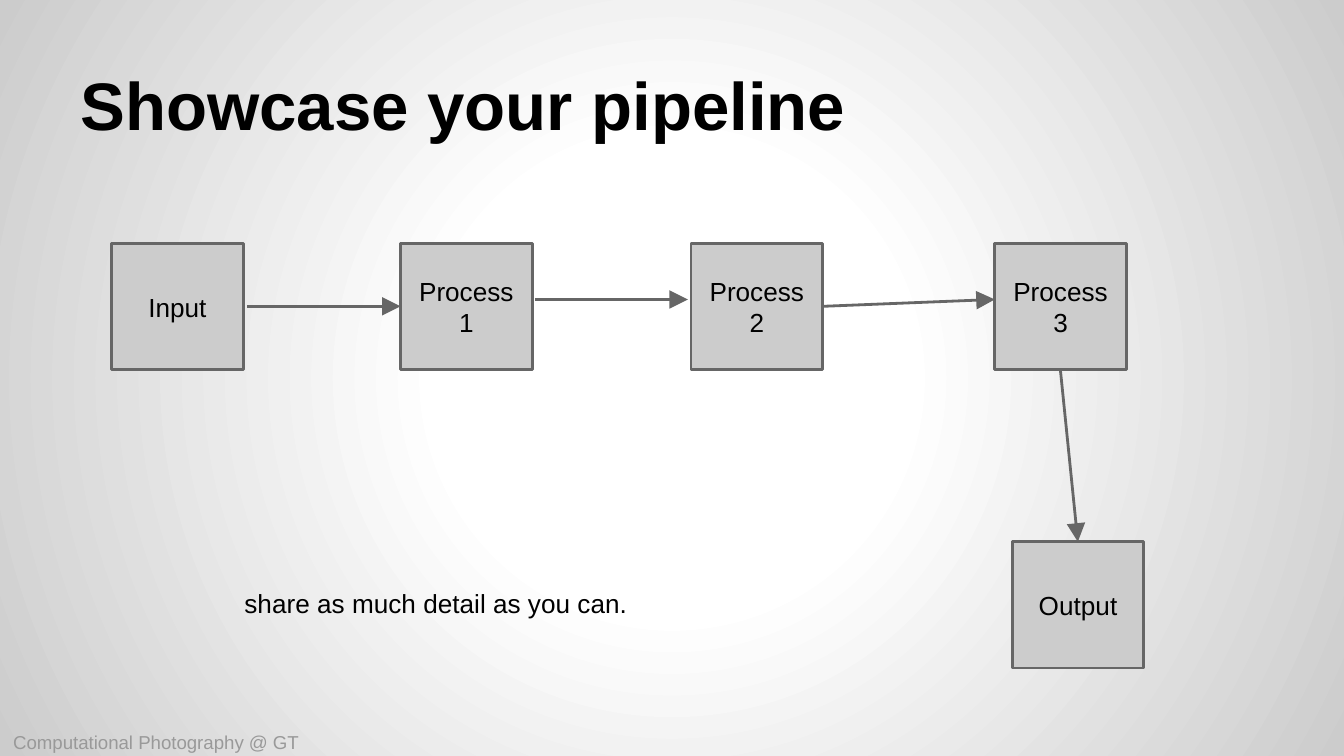
"""Build a slide that shows a processing pipeline from input to output."""
from lxml import etree
from pptx import Presentation
from pptx.dml.color import RGBColor
from pptx.enum.shapes import MSO_CONNECTOR, MSO_SHAPE
from pptx.enum.text import MSO_ANCHOR as Anchor, PP_ALIGN as Align
from pptx.oxml import parse_xml
from pptx.oxml.ns import nsdecls, qn
from pptx.util import Cm, Pt

COLORS = {"text": "000000", "footer": "999999", "box": "CCCCCC",
          "line": "666666", "center": "FFFFFF", "edge": "CCCCCC"}
BOX_WIDTH, BOX_HEIGHT, ROW_TOP = 2.49, 2.39, 4.6


def color(name):
    return RGBColor.from_string(COLORS[name])


def write(shape, text, size, anchor, align=Align.LEFT, ink="text", bold=False):
    frame = shape.text_frame
    frame.word_wrap = True
    frame.vertical_anchor = anchor
    frame.margin_left = frame.margin_right = Cm(0.25)
    frame.margin_top = frame.margin_bottom = Cm(0.25)
    para = frame.paragraphs[0]
    para.text = text
    para.alignment = align
    para.font.name = "Arial"
    para.font.size = Pt(size)
    para.font.bold = bold
    para.font.color.rgb = color(ink)


deck = Presentation()
deck.slide_width, deck.slide_height = Cm(25.4), Cm(14.29)
page = deck.slides.add_slide(deck.slide_layouts[6])

stops = "".join(
    f'<a:gs pos="{percent * 1000}"><a:srgbClr val="{COLORS[name]}"/></a:gs>'
    for percent, name in [(0, "center"), (30, "center"), (100, "edge")])
background = parse_xml(
    f'<p:bg {nsdecls("p", "a")}><p:bgPr><a:gradFill><a:gsLst>{stops}</a:gsLst>'
    '<a:path path="circle"><a:fillToRect l="50000" t="50000" r="50000" b="50000"/>'
    '</a:path></a:gradFill><a:effectLst/></p:bgPr></p:bg>')
page.element.cSld.insert(0, background)

title = page.shapes.add_textbox(Cm(1.27), Cm(0.58), Cm(22.86), Cm(2.39))
write(title, "Showcase your pipeline", 36, Anchor.BOTTOM, bold=True)

footer = page.shapes.add_textbox(Cm(0), Cm(13.74), Cm(7.14), Cm(0.56))
write(footer, "Computational Photography @ GT", 10, Anchor.MIDDLE, ink="footer")

steps = [("Input", 2.11, ROW_TOP), ("Process 1", 7.57, ROW_TOP),
         ("Process 2", 13.06, ROW_TOP), ("Process 3", 18.8, ROW_TOP),
         ("Output", 19.13, 10.24)]
for label, left, top in steps:
    box = page.shapes.add_shape(MSO_SHAPE.RECTANGLE, Cm(left), Cm(top),
                                Cm(BOX_WIDTH), Cm(BOX_HEIGHT))
    box.shadow.inherit = False
    box.fill.solid()
    box.fill.fore_color.rgb = color("box")
    box.line.color.rgb = color("line")
    box.line.width = Pt(1.5)
    write(box, label, 14, Anchor.MIDDLE, Align.CENTER)

arrows = [(4.67, 5.79, 7.57, 5.79), (10.11, 5.66, 13, 5.66),
          (15.55, 5.79, 18.8, 5.66), (20.04, 6.99, 20.37, 10.24)]
for ends in arrows:
    arrow = page.shapes.add_connector(MSO_CONNECTOR.STRAIGHT, *map(Cm, ends))
    arrow.line.color.rgb = color("line")
    arrow.line.width = Pt(1.5)
    etree.SubElement(arrow.line._get_or_add_ln(), qn("a:tailEnd"),
                     type="triangle", w="lg", len="lg")
    etree.SubElement(arrow._element.spPr, qn("a:effectLst"))

note = page.shapes.add_textbox(Cm(4.37), Cm(10.85), Cm(13.28), Cm(1.55))
write(note, "share as much detail as you can.", 14, Anchor.TOP)

deck.save("out.pptx")
